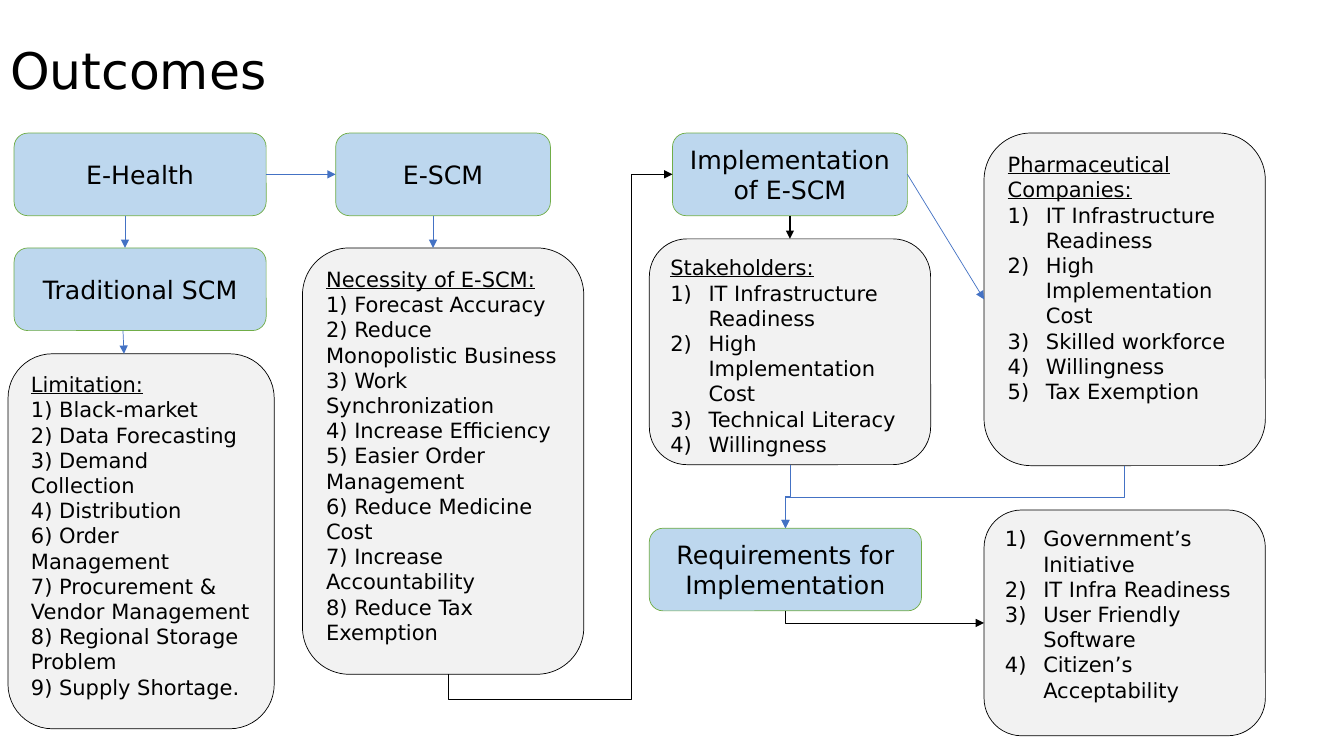
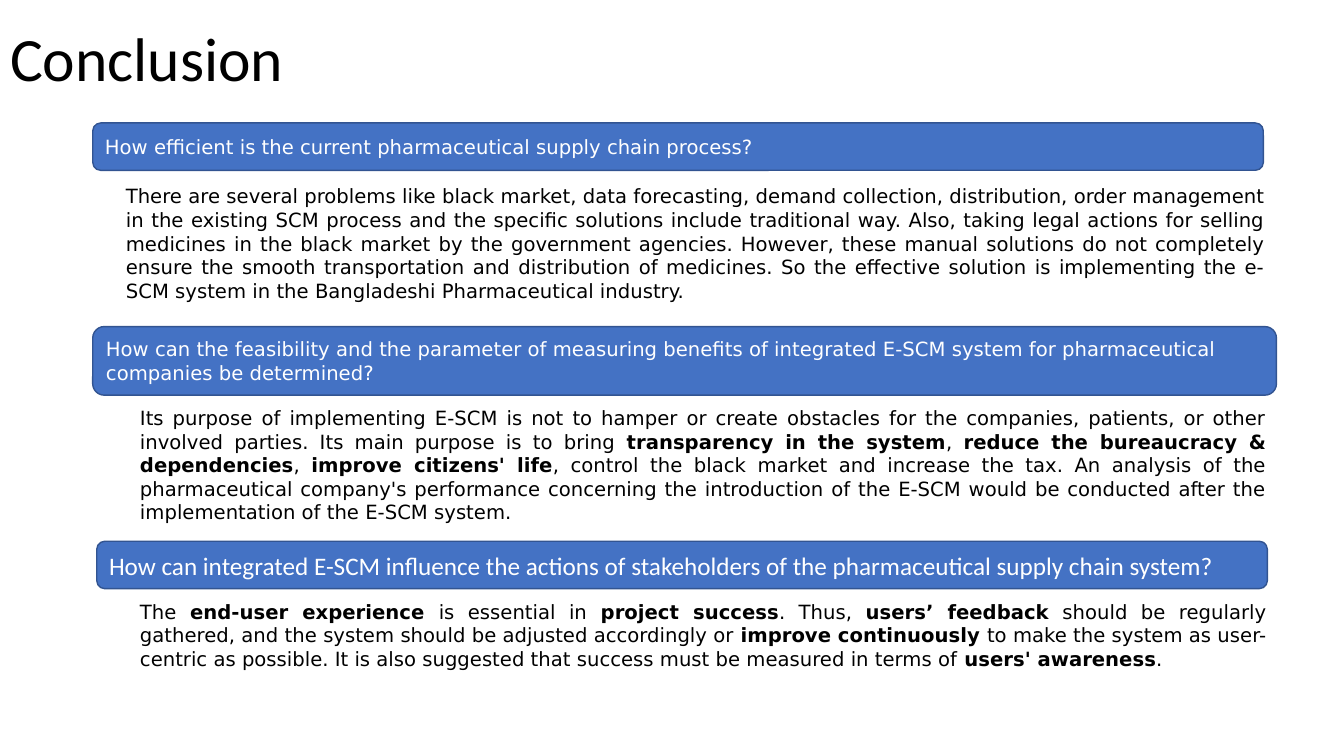
from lxml.etree import SubElement
from pptx import Presentation
from pptx.dml.color import RGBColor
from pptx.enum.shapes import MSO_CONNECTOR as Connector, MSO_SHAPE as Preset
from pptx.enum.text import MSO_ANCHOR as Anchor, MSO_AUTO_SIZE as AutoSize, PP_ALIGN as Align
from pptx.oxml.ns import qn
from pptx.util import Inches, Pt

BLACK = RGBColor(0x00, 0x00, 0x00)
WHITE = RGBColor(0xFF, 0xFF, 0xFF)
BLUE = RGBColor(0x44, 0x72, 0xC4)
DARK_BLUE = RGBColor(0x32, 0x54, 0x91)
PALE_BLUE = RGBColor(0xBD, 0xD7, 0xEE)
GREEN = RGBColor(0x70, 0xAD, 0x47)
PALE_GREY = RGBColor(0xF2, 0xF2, 0xF2)

SANS = "DejaVu Sans"
CALIBRI = "Calibri"
CELL = Inches(0.1)  # one column or row of the grid
COLUMNS, ROWS = 133.3, 75
HANGING = Inches(0.38)
TOP, LEFT, BOTTOM, RIGHT = range(4)  # connection sites of a rounded rectangle


def cells(*counts):
    return [round(count * CELL) for count in counts]


def site_point(shape, side, shift=0):
    """Middle of one side, moved sideways by a number of columns."""
    x_share, y_share = {TOP: (0.5, 0), LEFT: (0, 0.5), BOTTOM: (0.5, 1), RIGHT: (1, 0.5)}[side]
    return (round(shape.left + x_share * shape.width + shift * CELL),
            round(shape.top + y_share * shape.height))


class Deck:
    def __init__(self):
        self.presentation = Presentation()
        self.presentation.slide_width, self.presentation.slide_height = cells(COLUMNS, ROWS)
        self.slide = None

    def add_slide(self, title, height, size, font):
        self.slide = self.presentation.slides.add_slide(self.presentation.slide_layouts[5])
        shape = self.slide.shapes.title
        shape.left, shape.top, shape.width, shape.height = cells(0, 0, 115, height)
        frame = shape.text_frame
        frame.text = title
        frame.auto_size = AutoSize.NONE
        frame.vertical_anchor = Anchor.MIDDLE
        frame.paragraphs[0].line_spacing = 0.9
        self.format(frame.paragraphs[0], size, font=font)

    def format(self, paragraph, size, color=BLACK, align=Align.LEFT, font=SANS):
        paragraph.alignment = align
        for run in paragraph.runs:
            run.font.name, run.font.size = font, Pt(size)
            run.font.color.rgb = color

    def box(self, place, fill, line, line_width, anchor=Anchor.MIDDLE):
        shape = self.slide.shapes.add_shape(Preset.ROUNDED_RECTANGLE, *cells(*place))
        shape.shadow.inherit = False
        shape.fill.solid()
        shape.fill.fore_color.rgb = fill
        shape.line.color.rgb = line
        shape.line.width = Pt(line_width)
        shape.text_frame.word_wrap = True
        shape.text_frame.vertical_anchor = anchor
        return shape

    def topic(self, left, top, width, text):
        shape = self.box((left, top, width, 8.2), PALE_BLUE, GREEN, 0.5)
        shape.text_frame.text = text
        self.format(shape.text_frame.paragraphs[0], 18, align=Align.CENTER)
        return shape

    def details(self, place, heading, items, numbered=False):
        """Grey box with an underlined heading, if any, and a list."""
        shape = self.box(place, PALE_GREY, BLACK, 0.5, Anchor.TOP)
        frame = shape.text_frame
        frame.text = "\n".join([heading, *items] if heading else items)
        for index, paragraph in enumerate(frame.paragraphs):
            self.format(paragraph, 15)
            if heading and index == 0:
                paragraph.runs[0].font.underline = True
            elif numbered:
                properties = paragraph._p.get_or_add_pPr()
                properties.set("marL", str(HANGING))
                properties.set("indent", str(-HANGING))
                SubElement(properties, qn("a:buAutoNum"), type="arabicParenR")
        return shape

    def question(self, place, text, size=14, font=SANS):
        shape = self.box(place, BLUE, DARK_BLUE, 1)
        shape.text_frame.text = text
        self.format(shape.text_frame.paragraphs[0], size, WHITE, font=font)

    def answer(self, place, text):
        """Justified text; parts between asterisks are bold."""
        frame = self.slide.shapes.add_textbox(*cells(*place)).text_frame
        frame.word_wrap = True
        frame.auto_size = AutoSize.SHAPE_TO_FIT_TEXT
        paragraph = frame.paragraphs[0]
        for index, part in enumerate(text.split("*")):
            run = paragraph.add_run()
            run.text = part
            run.font.bold = index % 2 == 1
        self.format(paragraph, 14, align=Align.JUSTIFY)

    def arrow(self, start, end, color=BLUE, width=0.5, bend=None, adjustments=()):
        """Join two (shape, side, shift) ends; a bend leaves its start vertically."""
        begin, finish = site_point(*start), site_point(*end)
        kind = Connector.ELBOW if bend else Connector.STRAIGHT
        connector = self.slide.shapes.add_connector(kind, *begin, *finish)
        if len(start) == len(end) == 2:
            connector.begin_connect(*start)
            connector.end_connect(*end)
        if bend:
            self.turn(connector, begin, finish, bend, adjustments)
        connector.line.color.rgb = color
        connector.line.width = Pt(width)
        properties = connector._element.spPr
        SubElement(properties.find(qn("a:ln")), qn("a:tailEnd"), type="triangle")
        SubElement(properties, qn("a:effectLst"))

    def turn(self, connector, begin, finish, bend, adjustments):
        """Rotate a bent connector by 90 degrees about the middle of its ends."""
        across, down = finish[0] - begin[0], finish[1] - begin[1]
        connector.width, connector.height = abs(down), abs(across)
        connector.left = (begin[0] + finish[0] - abs(down)) // 2
        connector.top = (begin[1] + finish[1] - abs(across)) // 2
        properties = connector._element.spPr
        transform = properties.find(qn("a:xfrm"))
        transform.set("rot", str(90 * 60000))
        transform.set("flipH", str(int(down < 0)))
        transform.set("flipV", str(int(across > 0)))
        geometry = properties.find(qn("a:prstGeom"))
        geometry.set("prst", bend)
        for number, share in enumerate(adjustments, 1):
            SubElement(geometry.find(qn("a:avLst")), qn("a:gd"),
                       name=f"adj{number}", fmla=f"val {round(share * 100000)}")


def add_outcomes(deck):
    deck.add_slide("Outcomes", 14.5, 36, SANS)
    first_row, second_row = 13.2, 24.6
    health = deck.topic(1.4, first_row, 25, "E-Health")
    traditional = deck.topic(1.4, second_row, 25, "Traditional SCM")
    escm = deck.topic(33.3, first_row, 21.3, "E-SCM")
    implementation = deck.topic(66.7, first_row, 23.3, "Implementation of E-SCM")
    requirements = deck.topic(64.4, 52.4, 27, "Requirements for Implementation")

    limitation = deck.details((0.8, 35.1, 26.4, 37.2), "Limitation:", [
        "1) Black-market", "2) Data Forecasting", "3) Demand Collection",
        "4) Distribution", "6) Order Management",
        "7) Procurement & Vendor Management", "8) Regional Storage Problem",
        "9) Supply Shortage."])
    necessity = deck.details((30, second_row, 27.9, 42.3), "Necessity of E-SCM:", [
        "1) Forecast Accuracy", "2) Reduce Monopolistic Business",
        "3) Work Synchronization", "4) Increase Efficiency",
        "5) Easier Order Management", "6) Reduce Medicine Cost",
        "7) Increase Accountability", "8) Reduce Tax Exemption"])
    shared_items = ["IT Infrastructure Readiness", "High Implementation Cost"]
    stakeholders = deck.details(
        (64.4, 23.7, 27.9, 22.4), "Stakeholders:",
        [*shared_items, "Technical Literacy", "Willingness"], numbered=True)
    companies = deck.details(
        (97.6, first_row, 27.9, 33), "Pharmaceutical Companies:",
        [*shared_items, "Skilled workforce", "Willingness", "Tax Exemption"], numbered=True)
    needs = deck.details((97.6, 50.6, 27.9, 22.4), None, [
        "Government’s Initiative", "IT Infra Readiness",
        "User Friendly Software", "Citizen’s Acceptability"], numbered=True)

    deck.arrow((health, RIGHT), (escm, LEFT))
    deck.arrow((health, BOTTOM, -1.5), (traditional, TOP, -1.5))
    deck.arrow((traditional, BOTTOM, -1.7), (limitation, TOP, -1.7))
    deck.arrow((escm, BOTTOM, -1), (necessity, TOP, -1))
    deck.arrow((implementation, RIGHT), (companies, LEFT))
    deck.arrow((implementation, BOTTOM), (stakeholders, TOP), BLACK, 1)
    deck.arrow((necessity, BOTTOM, 0.5), (implementation, LEFT), BLACK,
               bend="bentConnector4", adjustments=(-0.05, 0.815))
    for source in (stakeholders, companies):
        deck.arrow((source, BOTTOM), (requirements, TOP), bend="bentConnector3")
    deck.arrow((requirements, BOTTOM), (needs, LEFT), BLACK, bend="bentConnector2")


def add_conclusion(deck):
    deck.add_slide("Conclusion", 12.2, 44, CALIBRI)
    deck.question((9.2, 12.2, 116.1, 4.7),
                  "How efficient is the current pharmaceutical supply chain process?")
    deck.answer(
        (11.5, 17.8, 115, 12.8),
        "There are several problems like black market, data forecasting, demand collection, "
        "distribution, order management in the existing SCM process and the specific solutions "
        "include traditional way. Also, taking legal actions for selling medicines in the black "
        "market by the government agencies. However, these manual solutions do not completely "
        "ensure the smooth transportation and distribution of medicines. So the effective "
        "solution is implementing the e-SCM system in the Bangladeshi Pharmaceutical industry.")
    deck.question((9.2, 32.4, 117.4, 6.8),
                  "How can the feasibility and the parameter of measuring benefits of integrated "
                  "E-SCM system for pharmaceutical companies be determined?")
    deck.answer(
        (12.9, 39.8, 113.7, 12.8),
        "Its purpose of implementing E-SCM is not to hamper or create obstacles for the "
        "companies, patients, or other involved parties. Its main purpose is to bring "
        "*transparency in the system*, *reduce the bureaucracy & dependencies*, "
        "*improve citizens' life*, control the black market and increase the tax. An analysis "
        "of the pharmaceutical company's performance concerning the introduction of the E-SCM "
        "would be conducted after the implementation of the E-SCM system.")
    deck.question((9.6, 53.7, 116.1, 4.7),
                  "How can integrated E-SCM influence the actions of stakeholders of the "
                  "pharmaceutical supply chain system?", 18, CALIBRI)
    deck.answer(
        (12.9, 59, 113.7, 8.1),
        "The *end-user experience *is essential in *project success*. Thus, *users’ feedback* "
        "should be regularly gathered, and the system should be adjusted accordingly or "
        "*improve continuously *to make the system as user-centric as possible. It is also "
        "suggested that success must be measured in terms of *users' awareness*.")


def main():
    deck = Deck()
    add_outcomes(deck)
    add_conclusion(deck)
    deck.presentation.save("out.pptx")


if __name__ == "__main__":
    main()
